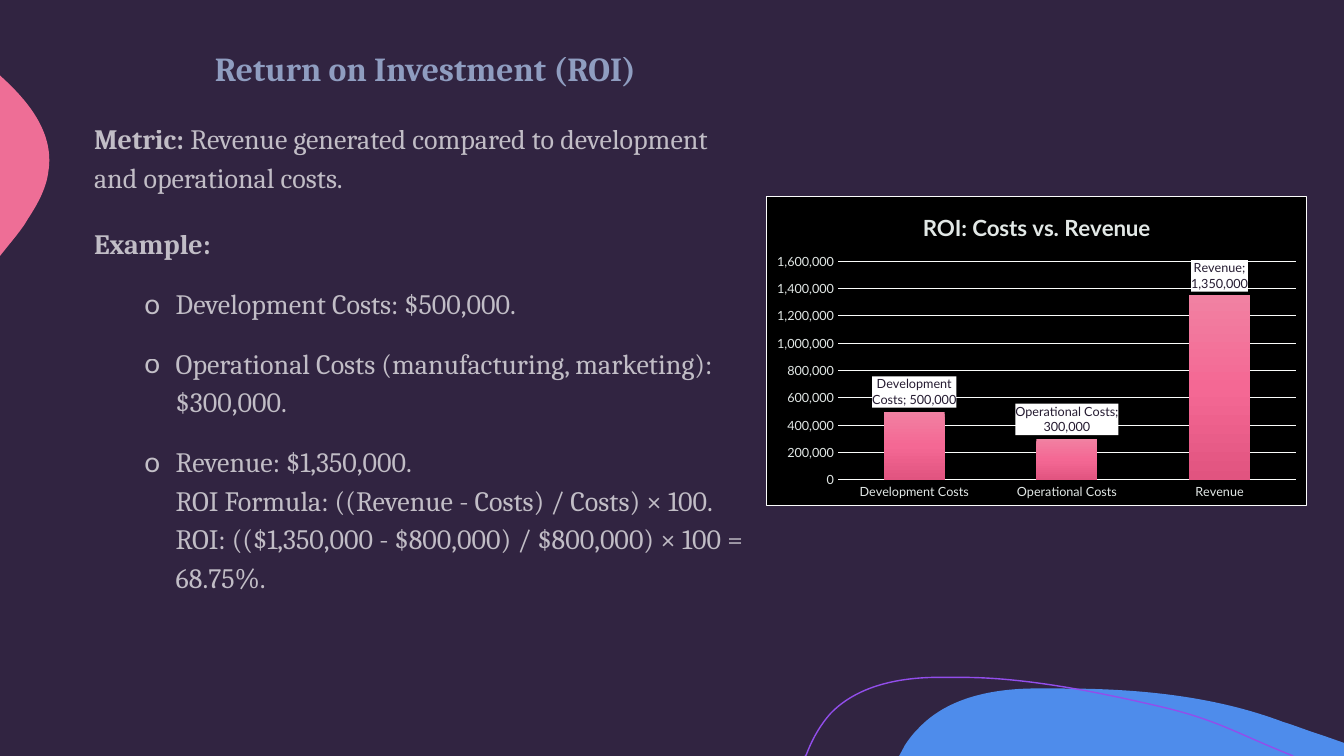
"""Build the Return on Investment slide with its cost and revenue chart."""
from lxml import etree
from pptx import Presentation
from pptx import util as u
from pptx.chart.data import CategoryChartData
from pptx.dml.color import RGBColor
from pptx.enum import chart as charts, text
from pptx.oxml import parse_xml
from pptx.oxml.ns import nsdecls, qn

COLORS = {
    "background": "312441", "blue": "4E8CEB", "pink": "EE6E96", "purple": "924EEB",
    "heading": "B8D1F7", "body": "FFFFFF", "chart": "000000", "line": "FBFCFB",
    "axis": "E2E8E6", "label": "251B31", "label_fill": "FFFFFF",
}
BAR_STOPS = [(0, "F181A2"), (50, "F46894"), (100, "E15480")]
BODY_FONT, CHART_FONT = "Cambria", "Lato"
OPACITY = 70

HEADING = "Return on Investment (ROI)"
STATEMENTS = [
    ("Metric: ", "Revenue generated compared to development and operational costs."),
    ("Example:", ""),
]
EXAMPLES = [
    "Development Costs: $500,000.",
    "Operational Costs (manufacturing, marketing): $300,000.",
    "Revenue: $1,350,000.\nROI Formula: ((Revenue - Costs) / Costs) × 100.\n"
    "ROI: (($1,350,000 - $800,000) / $800,000) × 100 = 68.75%.",
]
CHART_TITLE = "ROI: Costs vs. Revenue"
AMOUNTS = {"Development Costs": 500000, "Operational Costs": 300000, "Revenue": 1350000}

BLUE_WAVE = [
    [(26.77, 17.35)],
    [(28.65, 17.35), (30.58, 17.53), (32.33, 18.19)],
    [(32.66, 18.29), (32.97, 18.42), (33.3, 18.52)],
    [(33.87, 18.72)], [(33.87, 19.05)], [(22.66, 19.05)], [(22.81, 18.77)],
    [(22.91, 18.62), (23.01, 18.49), (23.14, 18.36)],
    [(23.85, 17.6), (24.94, 17.37), (25.98, 17.35)],
    [(26.24, 17.35), (26.52, 17.35), (26.77, 17.35)],
]
PINK_BLOB = [
    [(0, 1.9)], [(0.03, 1.93)],
    [(0.76, 2.59), (1.37, 3.38), (1.22, 4.32)],
    [(1.17, 4.75), (0.94, 5.16), (0.69, 5.54)],
    [(0.61, 5.69), (0.43, 5.92), (0.2, 6.2)], [(0, 6.45)],
]
PURPLE_CURVE = [
    [(20.29, 19.05)], [(20.32, 19.02)],
    [(20.47, 18.62), (20.68, 18.26), (20.93, 17.98)],
    [(21.59, 17.3), (22.58, 17.09), (23.52, 17.07)], [(24.26, 17.07)],
    [(25.96, 17.07), (27.94, 17.5), (29.34, 17.83)],
    [(30.71, 18.16), (31.14, 18.47), (32.59, 19.05)],
]


def rgb(name):
    return RGBColor.from_string(COLORS[name])


def paint(fill, name):
    fill.solid()
    fill.fore_color.rgb = rgb(name)


def add_outline(slide, outline, closed):
    """Draw an outline whose three-point segments are cubic curves."""
    segments = [[(u.Cm(x), u.Cm(y)) for x, y in segment] for segment in outline]
    ends = [segment[-1] for segment in segments]
    builder = slide.shapes.build_freeform(*ends[0])
    builder.add_line_segments(ends[1:], close=closed)
    shape = builder.convert_to_shape()
    shape.shadow.inherit = False
    lines = list(shape._element.iter(qn("a:lnTo")))
    for line, segment in zip(lines, segments[1:]):
        if len(segment) == 3:
            curve = etree.Element(qn("a:cubicBezTo"))
            for x, y in segment:
                etree.SubElement(curve, qn("a:pt"), x=str(x - shape.left), y=str(y - shape.top))
            line.getparent().replace(line, curve)
    return shape


def add_run(paragraph, words, size, color, bold):
    run = paragraph.add_run()
    run.text = words
    run.font.name, run.font.size, run.font.bold = BODY_FONT, u.Pt(size), bold
    paint(run.font.fill, color)
    solid = run._r.rPr.find(".//" + qn("a:srgbClr"))
    etree.SubElement(solid, qn("a:alpha"), val=str(OPACITY * 1000))


def add_paragraph(frame, before):
    paragraph = frame.add_paragraph()
    paragraph.line_spacing = 1.15
    paragraph.space_before, paragraph.space_after = u.Pt(before), u.Pt(10)
    return paragraph


def add_bullet(paragraph):
    paragraph.level = 1
    properties = paragraph._p.get_or_add_pPr()
    properties.set("marL", str(u.Cm(2.06)))
    properties.set("indent", str(-u.Cm(0.79)))
    etree.SubElement(properties, qn("a:buFont"), typeface=CHART_FONT)
    etree.SubElement(properties, qn("a:buChar"), char="o")


def add_body(slide):
    box = slide.shapes.add_textbox(u.Cm(2.12), u.Cm(0.94), u.Cm(17.2), u.Cm(15.82))
    frame = box.text_frame
    frame.word_wrap = True
    heading = frame.paragraphs[0]
    heading.alignment = text.PP_ALIGN.CENTER
    heading.line_spacing, heading.space_after = 1.15, u.Pt(10)
    add_run(heading, HEADING, 24, "heading", True)
    for label, statement in STATEMENTS:
        paragraph = add_paragraph(frame, 10)
        add_run(paragraph, label, 20, "body", True)
        if statement:
            add_run(paragraph, statement, 20, "body", False)
    for example in EXAMPLES:
        paragraph = add_paragraph(frame, 5)
        add_bullet(paragraph)
        for index, line in enumerate(example.split("\n")):
            if index:
                paragraph.add_line_break()
            add_run(paragraph, line, 20, "body", False)


def style_font(font, size, color, bold=False):
    font.name, font.size, font.bold = CHART_FONT, u.Pt(size), bold
    font.color.rgb = rgb(color)


def style_line(line):
    line.width = u.Pt(0.75)
    line.color.rgb = rgb("line")


def area_xml(fill, border=""):
    return parse_xml(f'<c:spPr {nsdecls("c", "a")}><a:solidFill><a:srgbClr val="{fill}"/>'
                     f'</a:solidFill>{border}</c:spPr>')


def add_roi_chart(slide):
    data = CategoryChartData(number_format="#,##0")
    data.categories = list(AMOUNTS)
    data.add_series("Series 1", list(AMOUNTS.values()))
    chart = slide.shapes.add_chart(
        charts.XL_CHART_TYPE.COLUMN_CLUSTERED,
        u.Cm(19.3), u.Cm(4.93), u.Cm(13.64), u.Cm(7.83), data).chart
    style_font(chart.font, 10, "body")
    border = (f'<a:ln w="{u.Pt(0.75)}"><a:solidFill><a:srgbClr val="{COLORS["line"]}"/>'
              '</a:solidFill></a:ln>')
    chart._chartSpace.find(qn("c:chart")).addnext(area_xml(COLORS["chart"], border))
    chart.has_legend = False
    chart.has_title = True
    chart.chart_title.text_frame.text = CHART_TITLE
    style_font(chart.chart_title.text_frame.paragraphs[0].runs[0].font, 16, "axis", True)

    for axis in (chart.category_axis, chart.value_axis):
        axis.major_tick_mark = axis.minor_tick_mark = charts.XL_TICK_MARK.NONE
        style_font(axis.tick_labels.font, 9, "axis")
    style_line(chart.category_axis.format.line)
    chart.value_axis.format.line.fill.background()
    chart.value_axis.has_major_gridlines = True
    style_line(chart.value_axis.major_gridlines.format.line)

    plot = chart.plots[0]
    plot.gap_width, plot.vary_by_categories = 150, False
    series = plot.series[0]
    series.format.fill.solid()
    solid = series._element.find(".//" + qn("a:solidFill"))
    stops = "".join(f'<a:gs pos="{place * 1000}"><a:srgbClr val="{color}"/></a:gs>'
                    for place, color in BAR_STOPS)
    solid.getparent().replace(solid, parse_xml(
        f'<a:gradFill {nsdecls("a")}><a:gsLst>{stops}</a:gsLst>'
        '<a:lin ang="5400000" scaled="0"/></a:gradFill>'))

    labels = series.data_labels
    labels.show_value = labels.show_category_name = True
    labels.position = charts.XL_LABEL_POSITION.OUTSIDE_END
    labels.number_format, labels.number_format_is_linked = "#,##0", False
    style_font(labels.font, 9, "label")
    labels._element.find(qn("c:txPr")).addprevious(area_xml(COLORS["label_fill"]))


def main():
    presentation = Presentation()
    presentation.slide_width, presentation.slide_height = u.Cm(33.87), u.Cm(19.05)
    slide = presentation.slides.add_slide(presentation.slide_layouts[6])
    paint(slide.background.fill, "background")
    for outline, color in ((BLUE_WAVE, "blue"), (PINK_BLOB, "pink")):
        shape = add_outline(slide, outline, True)
        paint(shape.fill, color)
        shape.line.fill.background()
    curve = add_outline(slide, PURPLE_CURVE, False)
    curve.fill.background()
    curve.line.color.rgb, curve.line.width = rgb("purple"), u.Pt(1)
    add_body(slide)
    add_roi_chart(slide)
    presentation.save("out.pptx")


if __name__ == "__main__":
    main()
